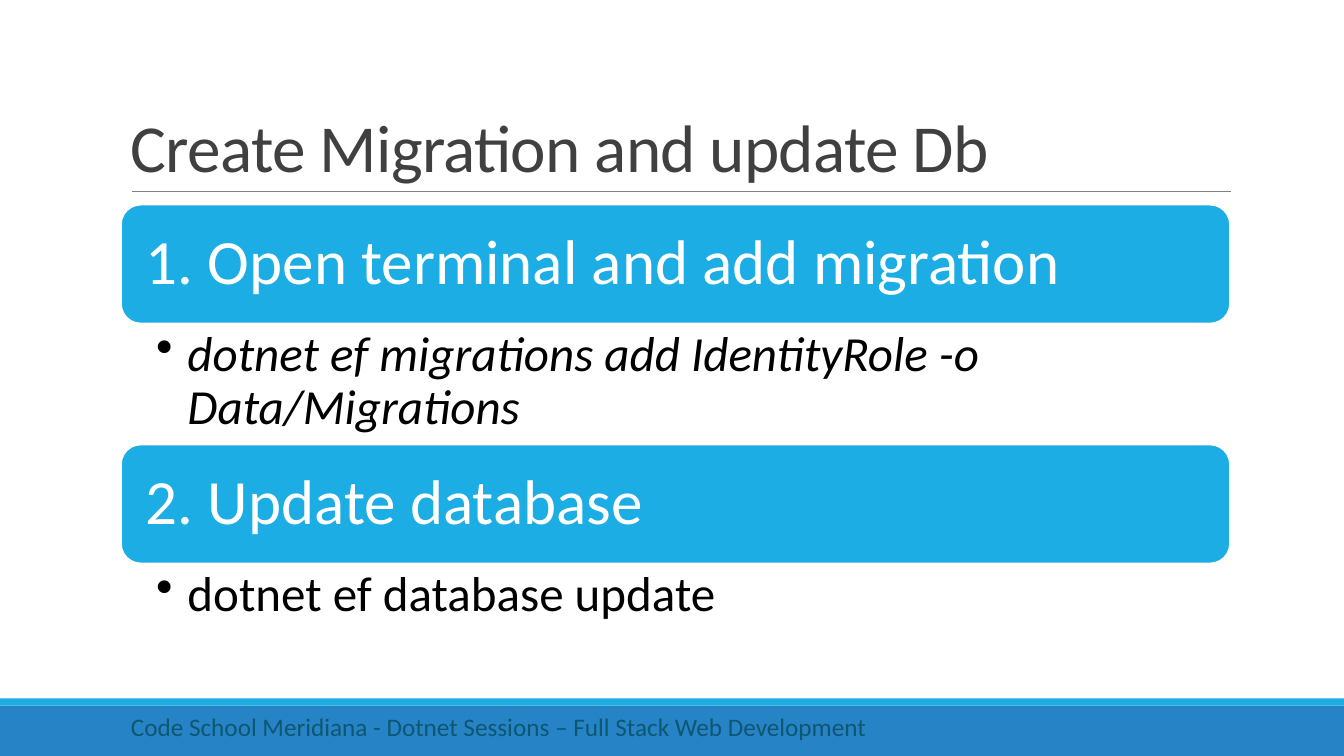
from lxml import etree
from pptx import Presentation
from pptx import util as u
from pptx.dml.color import RGBColor
from pptx.enum import shapes, text
from pptx.oxml.ns import qn

WIDTH, HEIGHT = 13.33, 7.5
LEFT, CONTENT_WIDTH = 1.2, 11
STEP_TOP, STEP_PITCH, HEADING_HEIGHT = 2.03, 2.38, 1.18
STEPS = [
    ("1. Open terminal and add migration",
     "dotnet ef migrations add IdentityRole -o Data/Migrations", True, 1.2),
    ("2. Update database", "dotnet ef database update", False, 0.81),
]


def color(value):
    return RGBColor.from_string(value)


class SlideBuilder:
    """Draws styled elements on one slide; lengths are in inches."""

    font = "Calibri"
    blue, dark_blue, white = "1CADE4", "2683C6", "FFFFFF"

    def __init__(self, slide):
        self.slide = slide

    def box(self, kind, left, top, width, height, fill, line=None):
        shape = self.slide.shapes.add_shape(
            kind, *map(u.Inches, (left, top, width, height)))
        shape.shadow.inherit = False
        shape.fill.solid()
        shape.fill.fore_color.rgb = color(fill)
        if line:
            shape.line.color.rgb = color(line)
            shape.line.width = u.Pt(1.25)
        else:
            shape.line.fill.background()
        return shape

    def rule(self, left, right, top):
        line = self.slide.shapes.add_connector(
            shapes.MSO_CONNECTOR.STRAIGHT,
            *map(u.Inches, (left, top, right, top)))
        line.line.color.rgb = color("808080")
        line.line.width = u.Pt(0.5)
        etree.SubElement(line._element.spPr, qn("a:effectLst"))

    def set_text(self, shape, words, size, fill, anchor="TOP",
                 insets=(0.1, 0.05), spacing=1.0, italic=False):
        frame = shape.text_frame
        frame.word_wrap = True
        frame.vertical_anchor = text.MSO_ANCHOR[anchor]
        frame.margin_left = frame.margin_right = u.Inches(insets[0])
        frame.margin_top = frame.margin_bottom = u.Inches(insets[1])
        paragraph = frame.paragraphs[0]
        paragraph.text = words
        paragraph.alignment = text.PP_ALIGN.LEFT
        paragraph.line_spacing = spacing
        paragraph.font.name = self.font
        paragraph.font.size = u.Pt(size)
        paragraph.font.italic = italic
        paragraph.font.color.rgb = color(fill)
        return paragraph

    def label(self, left, top, width, height, words, size, fill, **style):
        shape = self.slide.shapes.add_textbox(
            *map(u.Inches, (left, top, width, height)))
        return self.set_text(shape, words, size, fill, **style)

    def title(self, words):
        paragraph = self.label(LEFT, 0.31, CONTENT_WIDTH, 1.59, words, 48,
                               "404040", anchor="BOTTOM", spacing=0.85)
        paragraph.runs[0]._r.get_or_add_rPr().set("spc", "-50")

    def bullet(self, top, height, words, italic):
        paragraph = self.label(LEFT, top, CONTENT_WIDTH, height, words, 35,
                               "000000", insets=(0.35, 0.06), spacing=0.9,
                               italic=italic)
        properties = paragraph._p.get_or_add_pPr()
        indent = u.Inches(0.31)
        properties.set("marL", str(indent))
        properties.set("indent", str(-indent))
        mark = etree.Element(qn("a:buChar"), char="•")
        properties.find(qn("a:lnSpc")).addnext(mark)

    def step(self, top, heading, command, italic, command_height):
        shape = self.box(shapes.MSO_SHAPE.ROUNDED_RECTANGLE, LEFT, top,
                         CONTENT_WIDTH, HEADING_HEIGHT, self.blue, self.white)
        self.set_text(shape, heading, 45, self.white, anchor="MIDDLE",
                      insets=(0.19, 0.19), spacing=0.9)
        self.bullet(top + HEADING_HEIGHT, command_height, command, italic)

    def footer(self, words):
        rectangle = shapes.MSO_SHAPE.RECTANGLE
        self.box(rectangle, 0, 7, WIDTH, 0.5, self.dark_blue)
        self.box(rectangle, 0, 6.93, WIDTH, 0.07, self.blue)
        self.label(LEFT, 7.01, 7.62, 0.4, words, 18, "0E5772")


def main():
    presentation = Presentation()
    presentation.slide_width = u.Inches(WIDTH)
    presentation.slide_height = u.Inches(HEIGHT)
    builder = SlideBuilder(
        presentation.slides.add_slide(presentation.slide_layouts[6]))
    builder.rule(1.31, 12.21, 1.9)
    builder.title("Create Migration and update Db")
    for index, step in enumerate(STEPS):
        builder.step(STEP_TOP + index * STEP_PITCH, *step)
    builder.footer("Code School Meridiana - Dotnet Sessions – "
                   "Full Stack Web Development")
    presentation.save("out.pptx")


if __name__ == "__main__":
    main()
